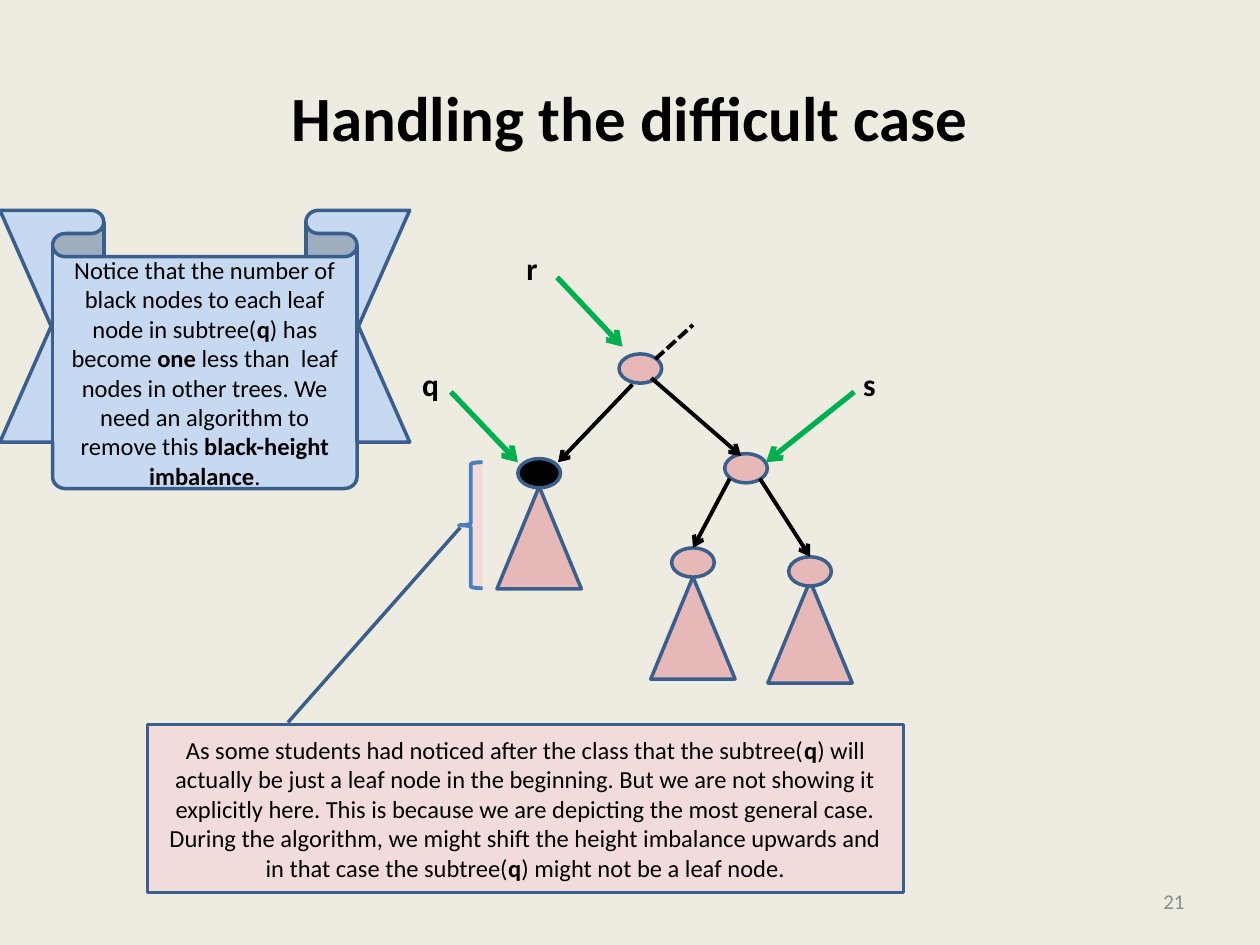
from dataclasses import dataclass

import pptx
import pptx.util
import pptx.dml.color
import pptx.enum.dml
import pptx.enum.shapes
import pptx.enum.text
import pptx.oxml.ns
from lxml import etree

Cm = pptx.util.Cm
SHAPE = pptx.enum.shapes.MSO_SHAPE
ALIGN = pptx.enum.text.PP_ALIGN
ANCHOR = pptx.enum.text.MSO_ANCHOR
qn = pptx.oxml.ns.qn


@dataclass(frozen=True)
class Theme:
    font: str = "Calibri"
    background: str = "EEECE1"
    ink: str = "000000"
    muted: str = "8C8C8C"
    outline: str = "3A5F8C"
    brace: str = "4B7EBC"
    node: str = "E6B9B8"
    note: str = "F2DCDB"
    banner: str = "C6D9F1"
    pointer: str = "00B050"
    title_size: int = 36
    label_size: int = 18
    body_size: int = 14
    number_size: int = 12
    outline_width: float = 2
    edge_width: float = 2.25
    pointer_width: float = 3


THEME = Theme()
NODE_W, NODE_H = 0.86, 0.59
TREE_W, TREE_H = 1.7, 2.06


def rgb(value):
    return pptx.dml.color.RGBColor.from_string(value)


def write(tf, text, size=THEME.body_size, color=THEME.ink, bold=False,
          align=ALIGN.CENTER, anchor=ANCHOR.MIDDLE, wrap=True):
    """Fill a text frame; parts between ** marks are bold."""
    tf.word_wrap = wrap
    tf.vertical_anchor = anchor
    p = tf.paragraphs[0]
    p.alignment = align
    for i, part in enumerate(text.split("**")):
        r = p.add_run()
        r.text = part
        r.font.name = THEME.font
        r.font.size = pptx.util.Pt(size)
        r.font.bold = bold or i % 2 == 1
        r.font.color.rgb = rgb(color)


def add_text(s, text, box, **fmt):
    sp = s.shapes.add_textbox(*map(Cm, box))
    write(sp.text_frame, text, **fmt)


def add_shape(s, kind, box, fill, line=THEME.outline,
              width=THEME.outline_width, adjust=()):
    sp = s.shapes.add_shape(kind, *map(Cm, box))
    sp.shadow.inherit = False
    sp.fill.solid()
    sp.fill.fore_color.rgb = rgb(fill)
    sp.line.color.rgb = rgb(line)
    sp.line.width = pptx.util.Pt(width)
    for i, value in enumerate(adjust):
        sp.adjustments[i] = value
    return sp


def add_line(s, start, end, color=THEME.ink, width=THEME.edge_width,
             arrow=True, dashed=False):
    cn = s.shapes.add_connector(pptx.enum.shapes.MSO_CONNECTOR.STRAIGHT,
                                *map(Cm, (*start, *end)))
    cn.line.color.rgb = rgb(color)
    cn.line.width = pptx.util.Pt(width)
    if dashed:
        cn.line.dash_style = pptx.enum.dml.MSO_LINE.SQUARE_DOT
    if arrow:
        ln = cn.line._get_or_add_ln()
        etree.SubElement(ln, qn("a:tailEnd"), type="arrow")
    etree.SubElement(cn._element.spPr, qn("a:effectLst"))
    return cn


def add_node(s, center, fill=THEME.node):
    x, y = center
    return add_shape(s, SHAPE.OVAL,
                     (x - NODE_W / 2, y - NODE_H / 2, NODE_W, NODE_H), fill)


def add_subtree(s, center, drop, fill=THEME.node):
    """Triangle whose apex lies drop below the centre of its root node."""
    x, y = center
    add_shape(s, SHAPE.ISOSCELES_TRIANGLE,
              (x - TREE_W / 2, y + drop, TREE_W, TREE_H), THEME.node)
    return add_node(s, center, fill)


def add_title(s, box):
    sp = s.shapes.title
    sp.left, sp.top, sp.width, sp.height = map(Cm, box)
    write(sp.text_frame, "Handling the difficult case",
          size=THEME.title_size, bold=True)


def add_tree(s, box):
    left, top = box[:2]

    def at(x, y):
        return left + x, top + y

    add_node(s, at(4.65, 2.53))
    add_node(s, at(6.78, 4.54))
    add_subtree(s, at(2.61, 4.64), 0.27, fill=THEME.ink)
    left_child = add_subtree(s, at(5.71, 6.44), 0.29)
    right_child = add_subtree(s, at(8.07, 6.62), 0.19)

    add_line(s, at(4.49, 2.85), at(2.99, 4.42))
    add_line(s, at(4.87, 2.72), at(6.68, 4.29))
    add_line(s, at(4.95, 2.34), at(5.71, 1.65), arrow=False, dashed=True)
    for x, child in ((6.45, left_child), (7.06, right_child)):
        add_line(s, at(x, 4.75), at(x, 6)).end_connect(child, 0)

    pointers = (
        ("r", (2.1, 0), (2.97, 0.69), (4.29, 2.09)),
        ("q", (0, 2.34), (0.83, 3), (2.18, 4.42)),
        ("s", (8.89, 2.34), (8.96, 3), (7.18, 4.42)),
    )
    for name, corner, start, end in pointers:
        add_line(s, at(*start), at(*end), color=THEME.pointer,
                 width=THEME.pointer_width)
        add_text(s, name, (*at(*corner), 0.8, 1.02), size=THEME.label_size,
                 bold=True, align=ALIGN.LEFT, anchor=ANCHOR.TOP, wrap=False)


def add_note(s, box):
    """Callout whose leader ends at the brace beside subtree(q)."""
    left, top = box[:2]
    sp = add_shape(s, SHAPE.LINE_CALLOUT_1, box, THEME.note,
                   adjust=(-0.013, 0.186, -1.176, 0.414))
    write(sp.text_frame,
          "As some students had noticed after the class that the "
          "subtree(**q**) will actually be just a leaf node in the beginning. "
          "But we are not showing it explicitly here. This is because we are "
          "depicting the most general case. During the algorithm, we might "
          "shift the height imbalance upwards and in that case the "
          "subtree(**q**) might not be a leaf node.")
    add_shape(s, SHAPE.LEFT_BRACE, (left + 6.28, top - 5.29, 0.48, 2.54),
              THEME.note, line=THEME.brace, width=THEME.edge_width)


def add_banner(s, box):
    sp = add_shape(s, SHAPE.DOWN_RIBBON, box, THEME.banner,
                   adjust=(0.167, 0.743))
    write(sp.text_frame,
          "Notice that the number of black nodes to each leaf node in "
          "subtree(**q**) has become **one** less than  leaf nodes in other "
          "trees. We need an algorithm to remove this "
          "**black-height imbalance**.")


def main():
    prs = pptx.Presentation()
    prs.slide_width, prs.slide_height = Cm(25.4), Cm(19.05)
    s = prs.slides.add_slide(prs.slide_layouts[5])
    s.background.fill.solid()
    s.background.fill.fore_color.rgb = rgb(THEME.background)
    add_title(s, (1.27, 0.76, 22.86, 3.18))
    add_text(s, "21", (18.21, 17.65, 5.92, 1.02), size=THEME.number_size,
             color=THEME.muted, align=ALIGN.RIGHT)
    add_tree(s, (8.26, 4.9, 9.65, 8.87))
    add_note(s, (2.97, 14.61, 15.24, 3.38))
    add_banner(s, (0, 4.24, 8.26, 5.61))
    prs.save("out.pptx")


if __name__ == "__main__":
    main()
